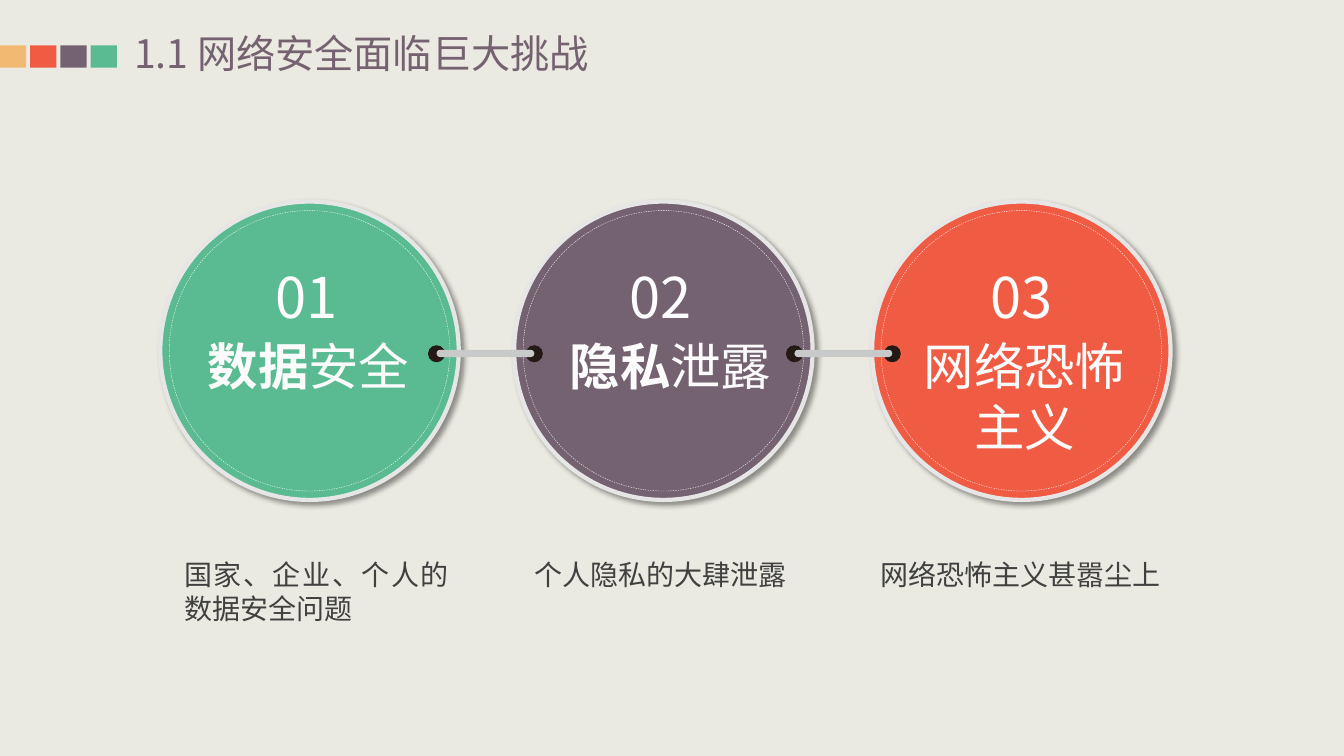
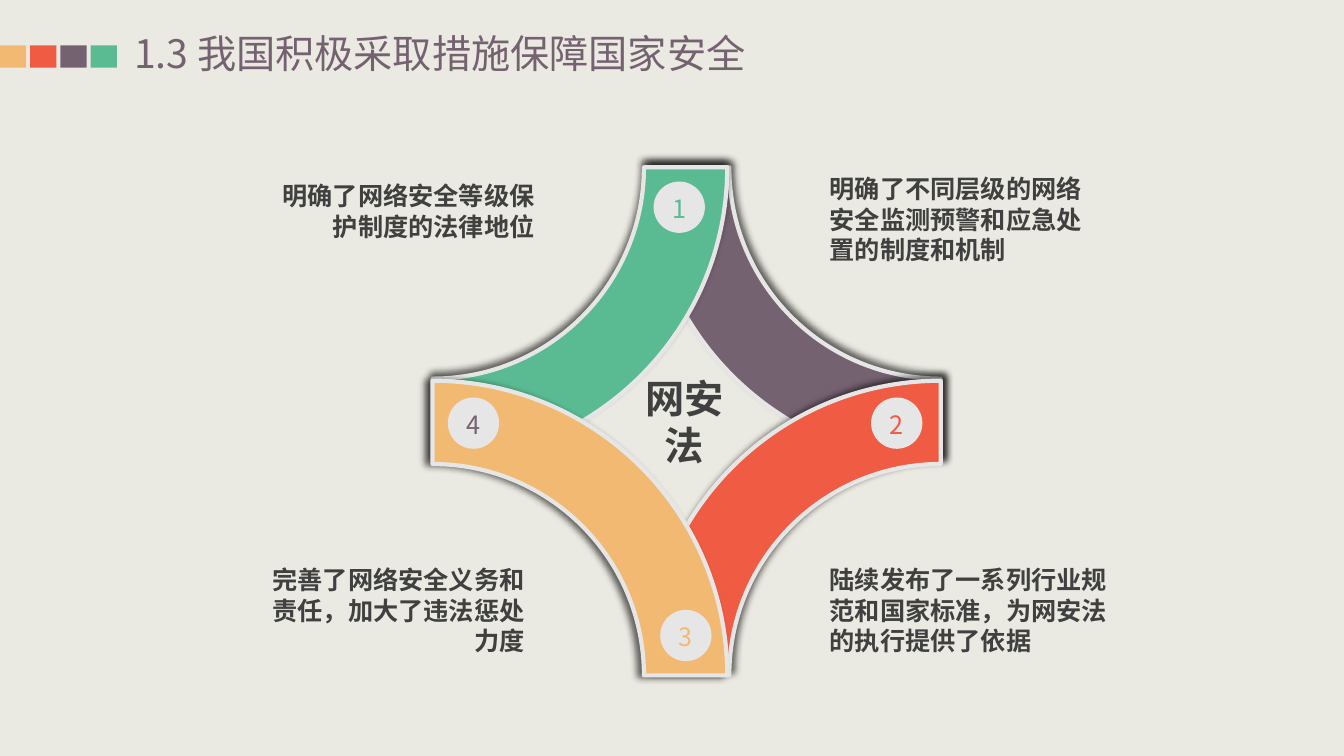
from math import cos, pi, sin

from lxml.etree import SubElement
from pptx import Presentation
from pptx.dml.color import RGBColor
from pptx.enum.dml import MSO_LINE
from pptx.enum.shapes import MSO_SHAPE
from pptx.enum.text import MSO_ANCHOR, MSO_AUTO_SIZE, PP_ALIGN
from pptx.oxml.ns import qn
from pptx.util import Inches, Pt

FONT = "Noto Sans CJK SC"
PAPER, RIM, INK, DOT, BAR = "EBEAE2", "E7E6E6", "404040", "231915", "C8C9C9"
GREEN, PLUM, RED, GOLD = "5ABB93", "756271", "EF5B43", "F2B973"
WHITE, PALE, DASH = "FDFDFD", "FBFBFB", "FEFEFE"
LEFT, MID, RIGHT, FULL = PP_ALIGN.LEFT, PP_ALIGN.CENTER, PP_ALIGN.RIGHT, PP_ALIGN.JUSTIFY


def color(code):
    """Turn a hex string into a colour."""
    return RGBColor.from_string(code)


def box(x, y, w, h):
    """Turn four lengths in inches into slide units."""
    return [Inches(v) for v in (x, y, w, h)]


def write(frame, lines, size=18, ink=INK, bold=False, align=LEFT, wrap=True,
          inset=None, anchor=MSO_ANCHOR.TOP, lead=1.21):
    """Fill a text frame; a line is a string or a list of (text, bold) runs."""
    frame.auto_size = MSO_AUTO_SIZE.NONE
    frame.word_wrap = wrap
    frame.vertical_anchor = anchor
    if inset is not None:
        frame.margin_left = frame.margin_right = Inches(inset)
        frame.margin_top = frame.margin_bottom = Inches(inset)
    for i, line in enumerate(lines):
        para = frame.add_paragraph() if i else frame.paragraphs[0]
        para.alignment = align
        para.line_spacing = Pt(size * lead)
        for words, heavy in [(line, bold)] if isinstance(line, str) else line:
            run = para.add_run()
            run.text = words
            run.font.name = FONT
            run.font.size = Pt(size)
            run.font.bold = heavy
            run.font.color.rgb = color(ink)
            SubElement(run.font._element, qn("a:ea"), typeface=FONT)


def label(slide, place, lines, **style):
    """Add a text box."""
    write(slide.shapes.add_textbox(*box(*place)).text_frame, lines, **style)


def paint(shape, fill=None, line=None, width=3, shade=None):
    """Set fill, outline and an optional (blur, distance, angle, alpha) shadow."""
    shape.shadow.inherit = False
    if fill:
        shape.fill.solid()
        shape.fill.fore_color.rgb = color(fill)
    else:
        shape.fill.background()
    if line:
        shape.line.color.rgb = color(line)
        shape.line.width = Pt(width)
    else:
        shape.line.fill.background()
    if shade:
        blur, far, turn, alpha = shade
        glow = SubElement(
            shape.element.spPr.find(qn("a:effectLst")), qn("a:outerShdw"),
            blurRad=str(Pt(blur)), dist=str(Pt(far)), dir=str(turn * 60000),
            algn="ctr", rotWithShape="0")
        tone = SubElement(glow, qn("a:srgbClr"), val="000000")
        SubElement(tone, qn("a:alpha"), val=str(alpha * 1000))
    return shape


def draw(slide, kind, place, **look):
    """Add a painted preset shape."""
    return paint(slide.shapes.add_shape(kind, *box(*place)), **look)


def start(deck, name):
    """Add a slide with its row of squares and its title."""
    slide = deck.slides.add_slide(deck.slide_layouts[5])
    for i, fill in enumerate((GOLD, RED, PLUM, GREEN)):
        draw(slide, MSO_SHAPE.RECTANGLE, (i * 0.3, 0.45, 0.26, 0.22), fill=fill)
    title = slide.shapes.title
    title.left, title.top, title.width, title.height = box(1.33, 0.29, 6.6, 0.47)
    write(title.text_frame, [name], size=28, ink=PLUM, inset=0, anchor=MSO_ANCHOR.MIDDLE)
    return slide


def disc(slide, x, y, size, fill, number, lines, shift, nudge):
    """Draw a numbered disc with a dashed inner ring."""
    draw(slide, MSO_SHAPE.OVAL, (x, y, size, size), fill=fill, line=RIM, shade=(4, 3, 45, 40))
    pad = size * 0.03
    ring = draw(slide, MSO_SHAPE.OVAL, (x + pad, y + pad, size - 2 * pad, size - 2 * pad),
                line=DASH, width=0.25)
    ring.line.dash_style = MSO_LINE.DASH
    label(slide, (x + size * 0.125 + shift, y + size * 0.43, size * 0.75, 0.11 + 0.6 * len(lines)),
          lines, size=36, ink=PALE, align=MID, wrap=False)
    label(slide, (x + size * 0.355 + nudge, y + size * 0.187, size * 0.29, 0.77),
          [number], size=40, ink=WHITE, align=MID, wrap=False)


def link(slide, x, y, width, size):
    """Join two discs with a bar between two dots."""
    for left in (x, x + width - size):
        draw(slide, MSO_SHAPE.OVAL, (left, y, size, size), fill=DOT, line=DOT, width=0.63)
    bar = draw(slide, MSO_SHAPE.ROUNDED_RECTANGLE,
               (x + size / 2, y + size / 4, width - size, size * 0.45), fill=BAR)
    bar.adjustments[0] = 0.5


def bend(shape, first):
    """Turn three line segments, from the given one, into one curve."""
    parts = list(shape.element.iter(qn("a:lnTo")))[first:first + 3]
    curve = SubElement(parts[0].getparent(), qn("a:cubicBezTo"))
    parts[0].addprevious(curve)
    for part in parts:
        curve.append(part[0])
        part.getparent().remove(part)


def arm(slide, x, y, size, right, low, fill, turn):
    """Draw a quarter band around one corner of a square box."""
    across, down = 1 - 2 * right, 1 - 2 * low
    pull = 0.5523
    quarter = [(1, 0), (1, pull), (pull, 1), (0, 1)]
    points = [(Inches(x + size * (right + across * r * u)),
               Inches(y + size * (low + down * r * v)))
              for r, curve in ((0.58, quarter), (0.416, quarter[::-1])) for u, v in curve]
    pen = slide.shapes.build_freeform(*points[0], scale=1.0)
    pen.add_line_segments(points[1:], close=True)
    band = pen.convert_to_shape()
    for first in (4, 0):
        bend(band, first)
    paint(band, fill=fill, line=RIM, shade=(5, 4, turn, 60))


def star(slide, x, y, size):
    """Draw four crossing bands with their numbers and the centre word."""
    label(slide, (x + size * 0.375, y + size * 0.397, size * 0.242, 1.04), ["网安法"],
          size=28, bold=True, align=MID)
    arms = ((1, 0, PLUM, 300), (0, 0, GREEN, 255), (1, 1, RED, 310), (0, 1, GOLD, 180))
    for right, low, fill, turn in arms:
        arm(slide, x, y, size, right, low, fill, turn)
    marks = ((0.435, 0.028, GREEN), (0.863, 0.453, RED), (0.448, 0.871, GOLD), (0.03, 0.453, PLUM))
    for i, (across, down, ink) in enumerate(marks, 1):
        mark = draw(slide, MSO_SHAPE.OVAL,
                    (x + size * across, y + size * down, size * 0.101, size * 0.101), fill=RIM)
        write(mark.text_frame, [str(i)], ink=ink, align=MID, inset=0,
              anchor=MSO_ANCHOR.MIDDLE, lead=1.3)


def risks(deck):
    """Build the slide with three linked discs."""
    slide = start(deck, "1.1 网络安全面临巨大挑战")
    discs = (
        (1.59, GREEN, [[("数据", True), ("安全", False)]], -0.01, -0.03),
        (5.1, PLUM, [[("隐私", True), ("泄露", False)]], 0.07, -0.03),
        (8.65, RED, ["网络恐怖", "主义"], 0.03, 0),
    )
    for i, (x, fill, lines, shift, nudge) in enumerate(discs, 1):
        disc(slide, x, 2, 2.96, fill, f"{i:02}", lines, shift, nudge)
    for x in (4.25, 7.8):
        link(slide, x, 3.43, 1.13, 0.16)
    notes = ((1.73, 2.82, "国家、企业、个人的数据安全问题"),
             (5.2, 3.04, "个人隐私的大肆泄露"),
             (8.63, 3, "网络恐怖主义甚嚣尘上"))
    for x, width, words in notes:
        label(slide, (x, 5.48, width, 0.77), [words], size=20, align=FULL)


def steps(deck):
    """Build the slide with the four-armed star."""
    slide = start(deck, "1.3 我国积极采取措施保障国家安全")
    notes = (
        (8.13, 5.55, 3.14, LEFT, "陆续发布了一系列行业规范和国家标准，为网安法的执行提供了依据"),
        (2.69, 1.74, 2.71, RIGHT, "明确了网络安全等级保护制度的法律地位"),
        (8.13, 1.67, 2.71, LEFT, "明确了不同层级的网络安全监测预警和应急处置的制度和机制"),
        (2.59, 5.55, 2.71, RIGHT, "完善了网络安全义务和责任，加大了违法惩处力度"),
    )
    for x, y, width, align, words in notes:
        label(slide, (x, y, width, 1.01), [words], bold=True, align=align)
    star(slide, 4.29, 1.66, 5.04)


def main():
    """Build and save the deck."""
    deck = Presentation()
    deck.slide_width, deck.slide_height = Inches(13.33), Inches(7.5)
    back = deck.slide_master.background.fill
    back.solid()
    back.fore_color.rgb = color(PAPER)
    risks(deck)
    steps(deck)
    deck.save("out.pptx")


if __name__ == "__main__":
    main()
